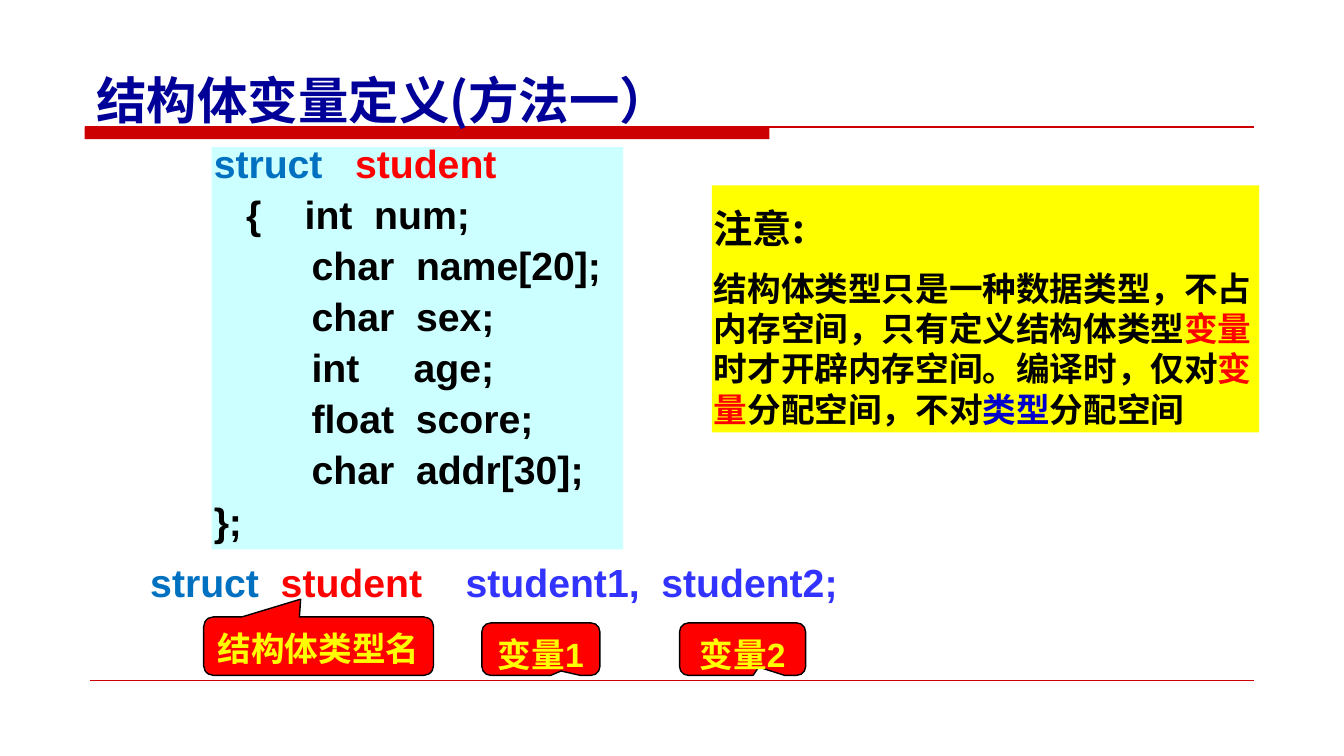
from pptx import Presentation
from pptx.dml.color import RGBColor
from pptx.enum.shapes import MSO_CONNECTOR, MSO_SHAPE
from pptx.enum.text import MSO_ANCHOR, PP_ALIGN
from pptx.oxml.ns import qn
from pptx.util import Inches, Pt
from lxml.etree import SubElement

DARK_RED = RGBColor(0xCC, 0x00, 0x00)
RED = RGBColor(0xFF, 0x00, 0x00)
YELLOW = RGBColor(0xFF, 0xFF, 0x00)
BLACK = RGBColor(0x00, 0x00, 0x00)
PALE_CYAN = RGBColor(0xCC, 0xFF, 0xFF)
KEYWORD_BLUE = RGBColor(0x00, 0x70, 0xC0)
VARIABLE_BLUE = RGBColor(0x33, 0x33, 0xFF)
TYPE_BLUE = RGBColor(0x00, 0x00, 0xCC)
TITLE_BLUE = RGBColor(0x00, 0x00, 0x99)
LATIN_FONT = "Arial"
CHINESE_FONT = "Noto Sans CJK SC"


class SlideBuilder:
    def __init__(self, slide):
        self.slide = slide

    def line(self, left, right, top, width):
        connector = self.slide.shapes.add_connector(
            MSO_CONNECTOR.STRAIGHT, Inches(left), Inches(top), Inches(right), Inches(top))
        connector.line.color.rgb = DARK_RED
        connector.line.width = Pt(width)
        SubElement(connector._element.spPr, qn("a:effectLst"))

    def box(self, kind, left, top, width, height, fill, outline=None):
        shape = self.slide.shapes.add_shape(
            kind, Inches(left), Inches(top), Inches(width), Inches(height))
        shape.shadow.inherit = False
        shape.fill.solid()
        shape.fill.fore_color.rgb = fill
        if outline is None:
            shape.line.fill.background()
        else:
            shape.line.color.rgb = outline
            shape.line.width = Pt(1)
        return shape

    def text_box(self, left, top, width, height):
        return self.slide.shapes.add_textbox(
            Inches(left), Inches(top), Inches(width), Inches(height))

    def frame(self, shape, side=0.02, edge=0.01, anchor=MSO_ANCHOR.TOP):
        text_frame = shape.text_frame
        text_frame.word_wrap = True
        text_frame.vertical_anchor = anchor
        text_frame.margin_left = text_frame.margin_right = Inches(side)
        text_frame.margin_top = text_frame.margin_bottom = Inches(edge)
        return text_frame

    def paragraph(self, text_frame, runs, size, font=LATIN_FONT, spacing=None,
                  before=0, indent=0, align=PP_ALIGN.LEFT):
        paragraph = text_frame.paragraphs[0]
        if paragraph.runs:
            paragraph = text_frame.add_paragraph()
        paragraph.alignment = align
        paragraph.line_spacing = spacing
        paragraph.space_before = Pt(before)
        if indent:
            paragraph._p.get_or_add_pPr().set("marL", str(Inches(indent)))
        for text, color in runs:
            run = paragraph.add_run()
            run.text = text
            run.font.size = Pt(size)
            run.font.bold = True
            run.font.color.rgb = color
            run.font.name = font
            east_asian = SubElement(run.font._element, qn("a:ea"))
            east_asian.set("typeface", CHINESE_FONT)

    def callout(self, text, left, top, width, height, tip):
        shape = self.box(MSO_SHAPE.ROUNDED_RECTANGULAR_CALLOUT,
                         left, top, width, height, RED, BLACK)
        shape.adjustments[0], shape.adjustments[1] = tip
        self.paragraph(self.frame(shape, side=0), [(text, YELLOW)], 24,
                       spacing=Pt(34), align=PP_ALIGN.CENTER)


def main():
    presentation = Presentation()
    presentation.slide_width = Inches(13.33)
    presentation.slide_height = Inches(7.5)
    builder = SlideBuilder(presentation.slides.add_slide(presentation.slide_layouts[6]))

    # Title rule and footer rule
    builder.box(MSO_SHAPE.RECTANGLE, 0.84, 1.26, 6.79, 0.12, DARK_RED)
    builder.line(0.84, 12.44, 1.26, 0.75)
    builder.line(0.89, 12.44, 6.75, 0.25)

    # Struct definition
    code = builder.frame(builder.box(MSO_SHAPE.RECTANGLE, 2.1, 1.46, 4.08, 3.99, PALE_CYAN))
    builder.paragraph(code, [("struct", KEYWORD_BLUE), ("   student", RED)], 28, spacing=0.8)
    code_lines = [
        ("{    int  num;", 0.32),
        ("char  name[20];", 0.97),
        ("char  sex;", 0.97),
        ("int     age;", 0.97),
        ("float  score;", 0.97),
        ("char  addr[30];", 0.97),
        ("};", 0),
    ]
    for text, indent in code_lines:
        builder.paragraph(code, [(text, BLACK)], 28, spacing=0.8, before=9.6, indent=indent)

    # Variable declaration
    declaration = builder.frame(builder.text_box(1.47, 5.62, 7.42, 0.4))
    builder.paragraph(declaration, [
        ("struct", KEYWORD_BLUE),
        ("  student    ", RED),
        ("student1,  student2;", VARIABLE_BLUE),
    ], 28, spacing=0.8)

    # Callouts under the declaration
    builder.callout("结构体类型名", 2.02, 6.12, 2.28, 0.58, (-0.078, -0.804))
    builder.callout("变量1", 4.78, 6.18, 1.17, 0.52, (0.171, 0.417))
    builder.callout("变量2", 6.74, 6.18, 1.25, 0.52, (0.128, 0.343))

    # Note
    note = builder.frame(builder.box(MSO_SHAPE.RECTANGLE, 7.06, 1.84, 5.43, 2.45, YELLOW))
    builder.paragraph(note, [("注意:", BLACK)], 28, CHINESE_FONT, spacing=Pt(46))
    builder.paragraph(note, [
        ("结构体类型只是一种数据类型，不占内存空间，只有定义结构体类型", BLACK),
        ("变量", RED),
        ("时才开辟内存空间。编译时，仅对", BLACK),
        ("变量", RED),
        ("分配空间，不对", BLACK),
        ("类型", TYPE_BLUE),
        ("分配空间", BLACK),
    ], 24, CHINESE_FONT, spacing=Pt(28.8), before=12)

    # Title
    title = builder.frame(builder.text_box(0.86, 0.14, 9, 1.15),
                          side=0.1, edge=0, anchor=MSO_ANCHOR.BOTTOM)
    builder.paragraph(title, [("结构体变量定义(方法一）", TITLE_BLUE)], 36, CHINESE_FONT)

    presentation.save("out.pptx")


if __name__ == "__main__":
    main()
